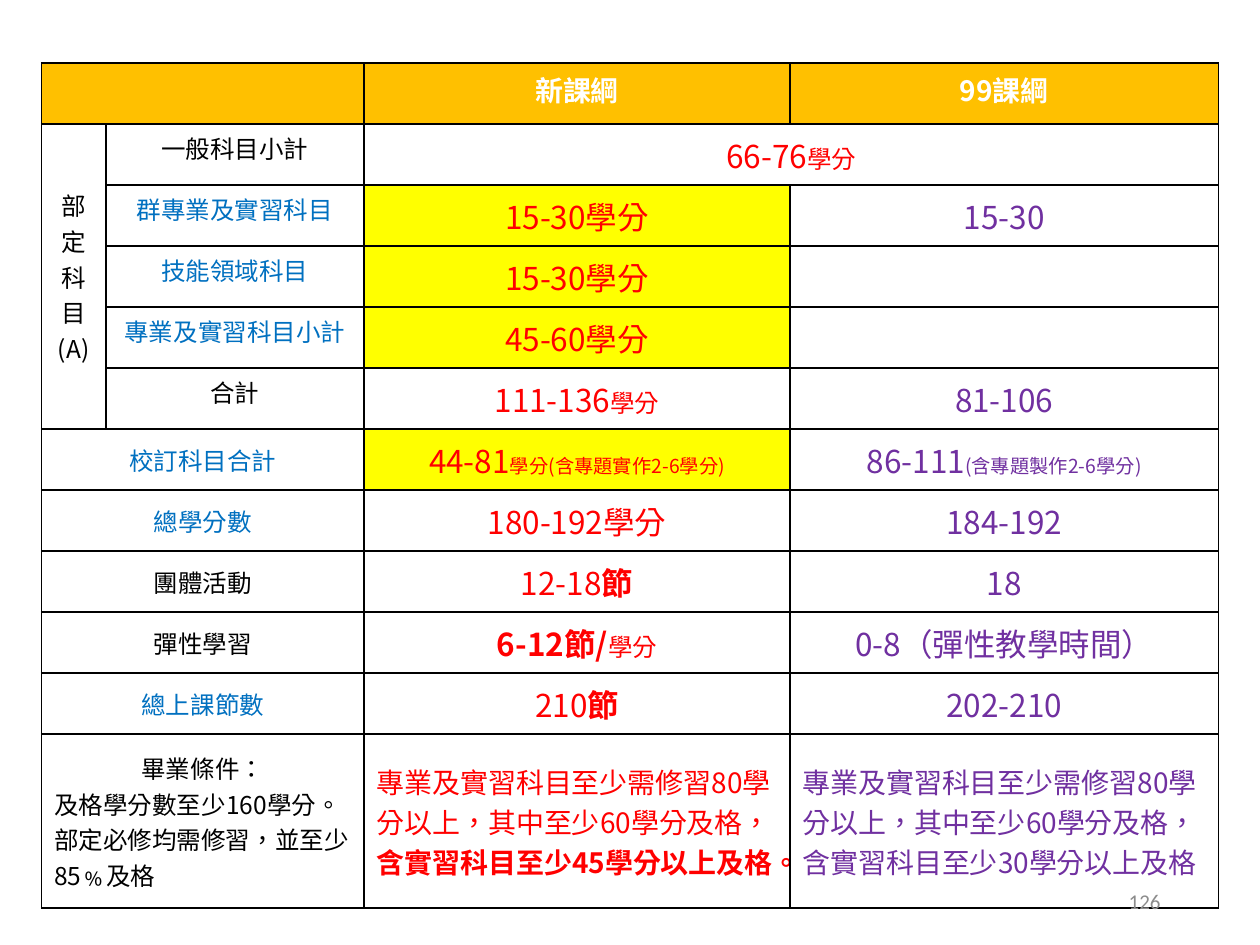
from lxml import etree
from pptx import Presentation
from pptx.dml.color import RGBColor
from pptx.enum.text import MSO_ANCHOR, PP_ALIGN
from pptx.oxml.ns import qn
from pptx.util import Inches, Pt

CENTER, LEFT, RIGHT = PP_ALIGN.CENTER, PP_ALIGN.LEFT, PP_ALIGN.RIGHT
TOP, MIDDLE = MSO_ANCHOR.TOP, MSO_ANCHOR.MIDDLE
COLORS = {
    "black": "000000", "white": "FFFFFF", "gold": "FFC000", "yellow": "FFFF00",
    "red": "FF0000", "blue": "0070C0", "purple": "7030A0", "gray": "8C8C8C",
}
UNIT = Inches(0.1)  # the page is a grid of 100 columns by 75 rows
COLUMN_WIDTHS = [5.1, 20.5, 33.8, 34]
ROW_HEIGHTS = [(65.8 - 12.5) / 11] * 11 + [12.5]


def rgb(name):
    return RGBColor.from_string(COLORS[name])


def write(para, text, size=18, color="black", bold=False, font="Noto Sans CJK SC"):
    span = para.add_run()
    span.text = text
    span.font.size, span.font.bold, span.font.name = Pt(size), bold, font
    span.font.color.rgb = rgb(color)
    properties = span.font._element
    properties.set("lang", "zh-TW")
    east_asian = etree.SubElement(properties, qn("a:ea"))
    east_asian.set("typeface", font)


class Deck:
    def __init__(self):
        self.file = Presentation()
        self.file.slide_width, self.file.slide_height = 100 * UNIT, 75 * UNIT
        self.page = self.file.slides.add_slide(self.file.slide_layouts[6])

    def text(self, left, top, width, height, content, align=LEFT, **style):
        lengths = [int(n * UNIT) for n in (left, top, width, height)]
        frame = self.page.shapes.add_textbox(*lengths).text_frame
        frame.word_wrap, frame.vertical_anchor = True, MIDDLE
        frame.paragraphs[0].alignment = align
        write(frame.paragraphs[0], content, **style)

    def table(self, left, top, widths, heights):
        lengths = [int(n * UNIT) for n in (left, top, sum(widths), sum(heights))]
        table = self.page.shapes.add_table(len(heights), len(widths), *lengths).table
        for column, width in zip(table.columns, widths):
            column.width = int(width * UNIT)
        for row, height in zip(table.rows, heights):
            row.height = int(height * UNIT)
        for cell in table.iter_cells():
            self.border(cell)
            self.fill(cell, "white")
        return table

    def fill(self, cell, color):
        cell.fill.solid()
        cell.fill.fore_color.rgb = rgb(color)

    def border(self, cell):
        properties = cell._tc.get_or_add_tcPr()
        for side in ("a:lnL", "a:lnR", "a:lnT", "a:lnB"):
            line = etree.SubElement(properties, qn(side), w=str(Pt(1)))
            solid = etree.SubElement(line, qn("a:solidFill"))
            etree.SubElement(solid, qn("a:srgbClr"), val=COLORS["black"])

    def cell(self, cell, paragraphs, fill="white", anchor=MIDDLE, **style):
        """Fill a cell; each paragraph is (alignment, [(text, own style), ...])."""
        self.fill(cell, fill)
        cell.vertical_anchor = anchor
        frame = cell.text_frame
        for index, (align, spans) in enumerate(paragraphs):
            para = frame.add_paragraph() if index else frame.paragraphs[0]
            para.alignment = align
            for text, own in spans:
                write(para, text, **{**style, **own})


SMALL, NOTE, BOLD = {"size": 14}, {"size": 11}, {"bold": True}

# label, label colour, new curriculum spans, its fill, old curriculum spans
ROWS = [
    ("一般科目小計", "black", [("66-76", {}), ("學分", SMALL)], "white", []),
    ("群專業及實習科目", "blue", [("15-30學分", {})], "yellow", [("15-30", {})]),
    ("技能領域科目", "blue", [("15-30學分", {})], "yellow", []),
    ("專業及實習科目小計", "blue", [("45-60學分", {})], "yellow", []),
    ("合計", "black", [("111-136", {}), ("學分", SMALL)], "white", [("81-106", {})]),
    ("校訂科目合計", "blue", [("44-81", {}), ("學分(含專題實作2-6學分)", NOTE)], "yellow",
     [("86-111", {}), ("(含專題製作2-6學分)", NOTE)]),
    ("總學分數", "blue", [("180-192學分", {})], "white", [("184-192", {})]),
    ("團體活動", "black", [("12-18", {}), ("節", BOLD)], "white", [("18", {})]),
    ("彈性學習", "black", [("6-12節/", BOLD), ("學分", SMALL)], "white",
     [("0-8（彈性教學時間）", {})]),
    ("總上課節數", "blue", [("210", {}), ("節", BOLD)], "white", [("202-210", {})]),
]
CONDITIONS = [
    (CENTER, [("畢業條件：", {})]),
    (LEFT, [("及格學分數至少160學分。", {})]),
    (LEFT, [("部定必修均需修習，並至少85﹪及格", {})]),
]
SHARED_RULE = "專業及實習科目至少需修習80學分以上，其中至少60學分及格，"
NEW_RULE = [(SHARED_RULE, {}), ("含實習科目至少45學分以上及格。", BOLD)]
OLD_RULE = [(SHARED_RULE + "含實習科目至少30學分以上及格", {})]
REQUIRED_ROWS = 5


def main():
    deck = Deck()
    table = deck.table(3.3, 5, COLUMN_WIDTHS, ROW_HEIGHTS)
    last = len(ROW_HEIGHTS) - 1

    table.cell(1, 0).merge(table.cell(REQUIRED_ROWS, 0))
    table.cell(1, 2).merge(table.cell(1, 3))
    for row in (0, *range(REQUIRED_ROWS + 1, last + 1)):
        table.cell(row, 0).merge(table.cell(row, 1))

    for column, heading in ((0, ""), (2, "新課綱"), (3, "99課綱")):
        spans = [(heading, {})] if heading else []
        deck.cell(table.cell(0, column), [(CENTER, spans)], fill="gold", anchor=TOP,
                  size=16, color="white", bold=True)
    deck.cell(table.cell(1, 0), [(CENTER, [("部定科目(A)", {})])], size=14)

    for row, (label, color, new, fill, old) in enumerate(ROWS, 1):
        required = row <= REQUIRED_ROWS
        deck.cell(table.cell(row, int(required)), [(CENTER, [(label, {})])],
                  anchor=TOP if required else MIDDLE, size=14, color=color)
        deck.cell(table.cell(row, 2), [(CENTER, new)], fill=fill, color="red")
        deck.cell(table.cell(row, 3), [(CENTER, old)], color="purple")

    deck.cell(table.cell(last, 0), CONDITIONS, size=14)
    deck.cell(table.cell(last, 2), [(LEFT, NEW_RULE)], size=16, color="red")
    deck.cell(table.cell(last, 3), [(LEFT, OLD_RULE)], size=16, color="purple")

    deck.text(70.6, 69.5, 22.5, 4, "126", align=RIGHT, size=12, color="gray",
              font="Calibri")
    deck.file.save("out.pptx")


if __name__ == "__main__":
    main()
